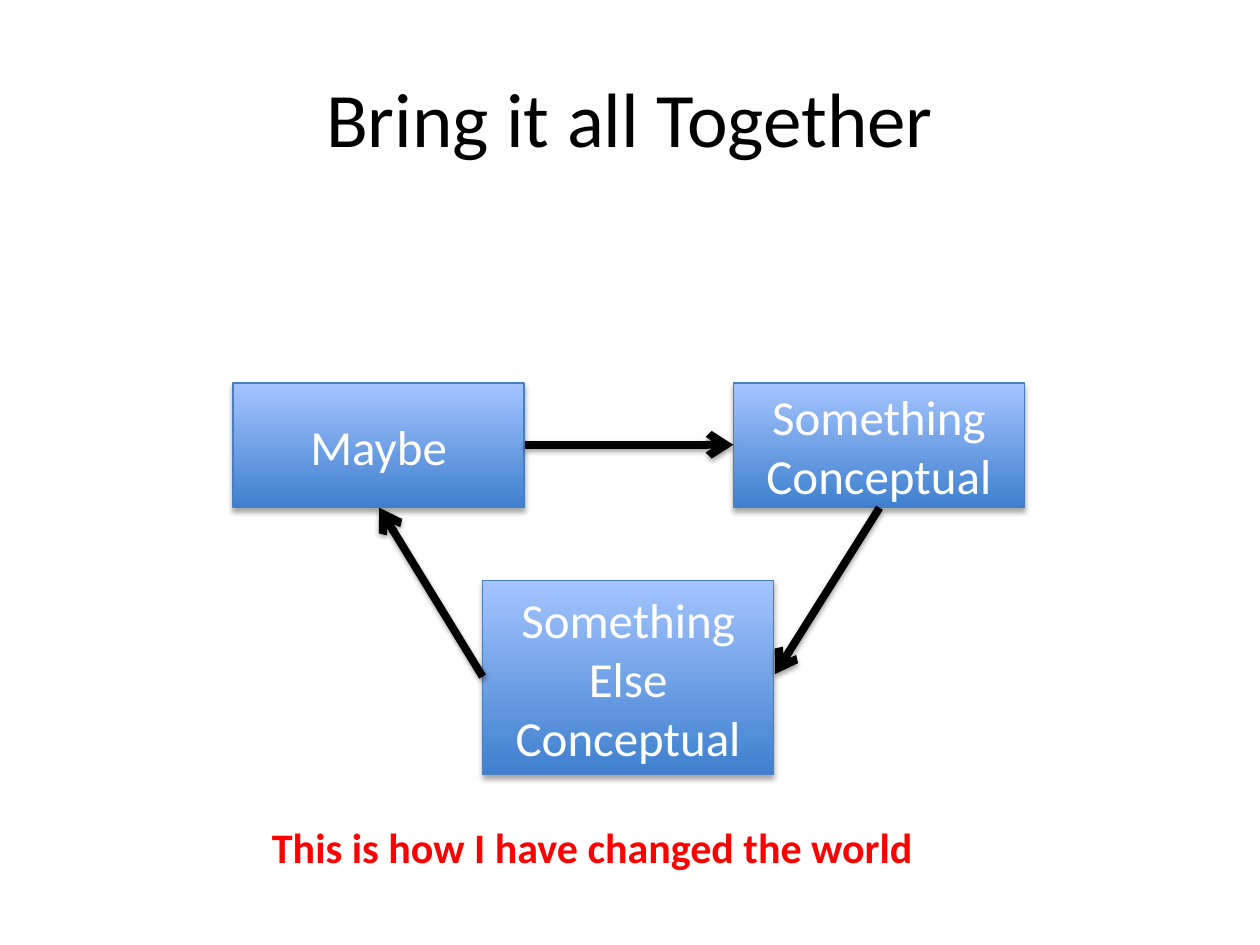
from lxml.etree import SubElement
from pptx import Presentation
from pptx.dml.color import RGBColor
from pptx.enum.shapes import MSO_CONNECTOR, MSO_SHAPE
from pptx.enum.text import MSO_ANCHOR, MSO_AUTO_SIZE, PP_ALIGN
from pptx.oxml.ns import qn
from pptx.util import Inches, Pt


def write(frame, lines, size, color, align, bold=False):
    for index, line in enumerate(lines):
        para = frame.paragraphs[0] if index == 0 else frame.add_paragraph()
        para.alignment = align
        span = para.add_run()
        span.text = line
        span.font.name = "Calibri"
        span.font.size = Pt(size)
        span.font.bold = bold
        span.font.color.rgb = RGBColor.from_string(color)


def add_shadow(shape, distance, opacity):
    """Cast a soft black shadow straight down; call after the line is set."""
    effects = SubElement(shape._element.spPr, qn("a:effectLst"))
    shadow = SubElement(effects, qn("a:outerShdw"), blurRad=str(Pt(3.15)),
                        dist=str(Pt(distance)), dir="5400000", rotWithShape="0")
    black = SubElement(shadow, qn("a:srgbClr"), val="000000")
    SubElement(black, qn("a:alpha"), val=str(opacity * 1000))


deck = Presentation()
deck.slide_width, deck.slide_height = Inches(10), Inches(7.5)
page = deck.slides.add_slide(deck.slide_layouts[6])

title = page.shapes.add_textbox(Inches(0.5), Inches(0.3), Inches(9), Inches(1.25))
title.text_frame.word_wrap = True
title.text_frame.vertical_anchor = MSO_ANCHOR.MIDDLE
write(title.text_frame, ["Bring it all Together"], 44, "000000", PP_ALIGN.CENTER)

conclusion = page.shapes.add_textbox(Inches(2.06), Inches(6.47), Inches(5.35), Inches(0.5))
conclusion.text_frame.word_wrap = False
conclusion.text_frame.auto_size = MSO_AUTO_SIZE.SHAPE_TO_FIT_TEXT
write(conclusion.text_frame, ["This is how I have changed the world"], 24, "FF0000",
      PP_ALIGN.LEFT, bold=True)

# Each step: left, top, height, lines
steps = [
    (1.85, 3.04, 0.99, ["Maybe"]),
    (5.82, 3.04, 0.99, ["Something", "Conceptual"]),
    (3.83, 4.61, 1.54, ["Something Else", "Conceptual"]),
]
for left, top, height, lines in steps:
    box = page.shapes.add_shape(MSO_SHAPE.RECTANGLE, Inches(left), Inches(top),
                                Inches(2.31), Inches(height))
    box.fill.gradient()
    box.fill.gradient_angle = 90
    for stop, color in zip(box.fill.gradient_stops, ("3F80CE", "A4C4FF")):
        stop.color.rgb = RGBColor.from_string(color)
    box.line.color.rgb = RGBColor.from_string("4B7EBC")
    box.line.width = Pt(0.75)
    add_shadow(box, 1.8, 35)
    box.text_frame.word_wrap = True
    box.text_frame.vertical_anchor = MSO_ANCHOR.MIDDLE
    write(box.text_frame, lines, 28, "FFFFFF", PP_ALIGN.CENTER)

# Each arrow: start x, start y, end x, end y
arrows = [
    (4.17, 3.53, 5.82, 3.53),
    (6.98, 4.03, 6.15, 5.35),
    (3.83, 5.37, 3.01, 4.03),
]
for ends in arrows:
    arrow = page.shapes.add_connector(MSO_CONNECTOR.STRAIGHT, *map(Inches, ends))
    arrow.line.color.rgb = RGBColor.from_string("000000")
    arrow.line.width = Pt(4.5)
    SubElement(arrow.line._get_or_add_ln(), qn("a:tailEnd"), type="arrow")
    add_shadow(arrow, 1.6, 38)

deck.save("out.pptx")
